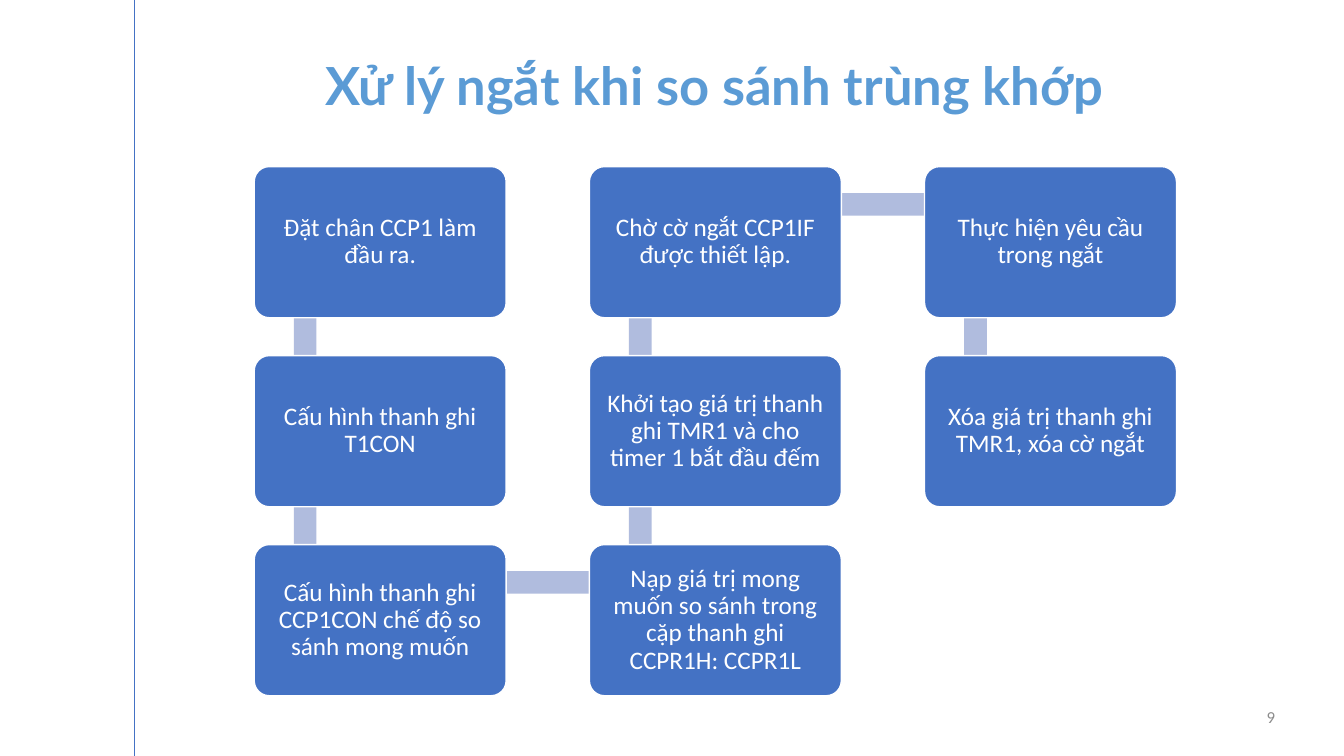
from lxml import etree
from pptx import Presentation
from pptx.dml.color import RGBColor
from pptx.enum import shapes, text
from pptx.oxml import ns
from pptx.util import Pt

BLUE = RGBColor(0x44, 0x72, 0xC4)
SKY = RGBColor(0x5B, 0x9B, 0xD5)
PALE = RGBColor(0xB0, 0xBC, 0xDE)
GREY = RGBColor(0x8C, 0x8C, 0x8C)
WHITE = RGBColor(0xFF, 0xFF, 0xFF)

WIDE, HIGH = 960, 540
LEFT, TOP = 181.6, 119
BOX_W, BOX_H = 180, 108
STEP_X, STEP_Y = 239.4, 135
PIN_X, PIN_Y = 36.4, 27  # where a link meets its box
BAR = 16.2

# Column, row and wording of each step, in flow order
STEPS = [
    (0, 0, "Đặt chân CCP1 làm đầu ra."),
    (0, 1, "Cấu hình thanh ghi T1CON"),
    (0, 2, "Cấu hình thanh ghi CCP1CON chế độ so sánh mong muốn"),
    (1, 2, "Nạp giá trị mong muốn so sánh trong cặp thanh ghi CCPR1H: CCPR1L"),
    (1, 1, "Khởi tạo giá trị thanh ghi TMR1 và cho timer 1 bắt đầu đếm"),
    (1, 0, "Chờ cờ ngắt CCP1IF được thiết lập."),
    (2, 0, "Thực hiện yêu cầu trong ngắt"),
    (2, 1, "Xóa giá trị thanh ghi TMR1, xóa cờ ngắt"),
]


class Painter:
    """Holds the style and the current slide."""

    def __init__(self, slide, face="Calibri"):
        """Keep the slide's shapes and the body font."""
        self.items = slide.shapes
        self.face = face

    def fill_text(self, frame, words, size, color, align, anchor, face=None):
        """Fill a text frame with one styled paragraph, which is returned."""
        frame.word_wrap = True
        frame.auto_size = text.MSO_AUTO_SIZE.NONE
        frame.vertical_anchor = anchor
        para = frame.paragraphs[0]
        para.text = words
        para.alignment = align
        para.font.size = Pt(size)
        para.font.name = face or self.face
        para.font.color.rgb = color
        return para

    def title(self, words, x, y, w, h):
        """Place and format the title placeholder."""
        head = self.items.title
        head.left, head.top, head.width, head.height = map(Pt, (x, y, w, h))
        para = self.fill_text(head.text_frame, words, 37.5, SKY,
                              text.PP_ALIGN.CENTER, text.MSO_ANCHOR.BOTTOM,
                              "Lato")
        para.font.bold = True
        para.line_spacing = 0.7

    def label(self, words, x, y, w, h):
        """Add a small right-aligned text."""
        box = self.items.add_textbox(Pt(x), Pt(y), Pt(w), Pt(h))
        self.fill_text(box.text_frame, words, 12, GREY,
                       text.PP_ALIGN.RIGHT, text.MSO_ANCHOR.MIDDLE)

    def rule(self, x, y, x2, y2):
        """Add a thin straight line."""
        line = self.items.add_connector(shapes.MSO_CONNECTOR.STRAIGHT,
                                        Pt(x), Pt(y), Pt(x2), Pt(y2))
        line.line.color.rgb = BLUE
        line.line.width = Pt(0.5)
        etree.SubElement(line._element.spPr, ns.qn("a:effectLst"))

    def shape(self, kind, x, y, w, h, fill):
        """Add a flat filled shape."""
        item = self.items.add_shape(kind, Pt(x), Pt(y), Pt(w), Pt(h))
        item.shadow.inherit = False
        item.fill.solid()
        item.fill.fore_color.rgb = fill
        return item

    def link(self, start, end):
        """Add a bar between the pins of two neighbouring boxes."""
        (x, y), (x2, y2) = start, end
        w, h = abs(x2 - x) or BAR, abs(y2 - y) or BAR
        mid_x, mid_y = (x + x2) / 2 + PIN_X, (y + y2) / 2 + PIN_Y
        bar = self.shape(shapes.MSO_SHAPE.RECTANGLE,
                         mid_x - w / 2, mid_y - h / 2, w, h, PALE)
        bar.line.fill.background()

    def step(self, words, x, y):
        """Add a rounded box with its wording."""
        box = self.shape(shapes.MSO_SHAPE.ROUNDED_RECTANGLE,
                         x, y, BOX_W, BOX_H, BLUE)
        box.adjustments[0] = 0.1
        box.line.color.rgb = WHITE
        box.line.width = Pt(1)
        frame = box.text_frame
        frame.margin_left = frame.margin_right = Pt(8.3)
        frame.margin_top = frame.margin_bottom = Pt(8.3)
        para = self.fill_text(frame, words, 18, WHITE,
                              text.PP_ALIGN.CENTER, text.MSO_ANCHOR.MIDDLE)
        para.line_spacing = 0.9


def spot(col, row):
    """Return the top left corner of a grid cell."""
    return LEFT + col * STEP_X, TOP + row * STEP_Y


def main():
    """Build the slide and save it."""
    deck = Presentation()
    deck.slide_width, deck.slide_height = Pt(WIDE), Pt(HIGH)
    pen = Painter(deck.slides.add_slide(deck.slide_layouts[5]))
    pen.rule(96, 0, 96, HIGH)
    pen.title("Xử lý ngắt khi so sánh trùng khớp", 69, 42.5, 883, 42.5)
    pen.label("9", 886, 497.5, 32, 29)
    spots = [spot(col, row) for col, row, _ in STEPS]
    for start, end in zip(spots, spots[1:]):
        pen.link(start, end)
    for (x, y), (_, _, words) in zip(spots, STEPS):
        pen.step(words, x, y)
    deck.save("out.pptx")


main()
